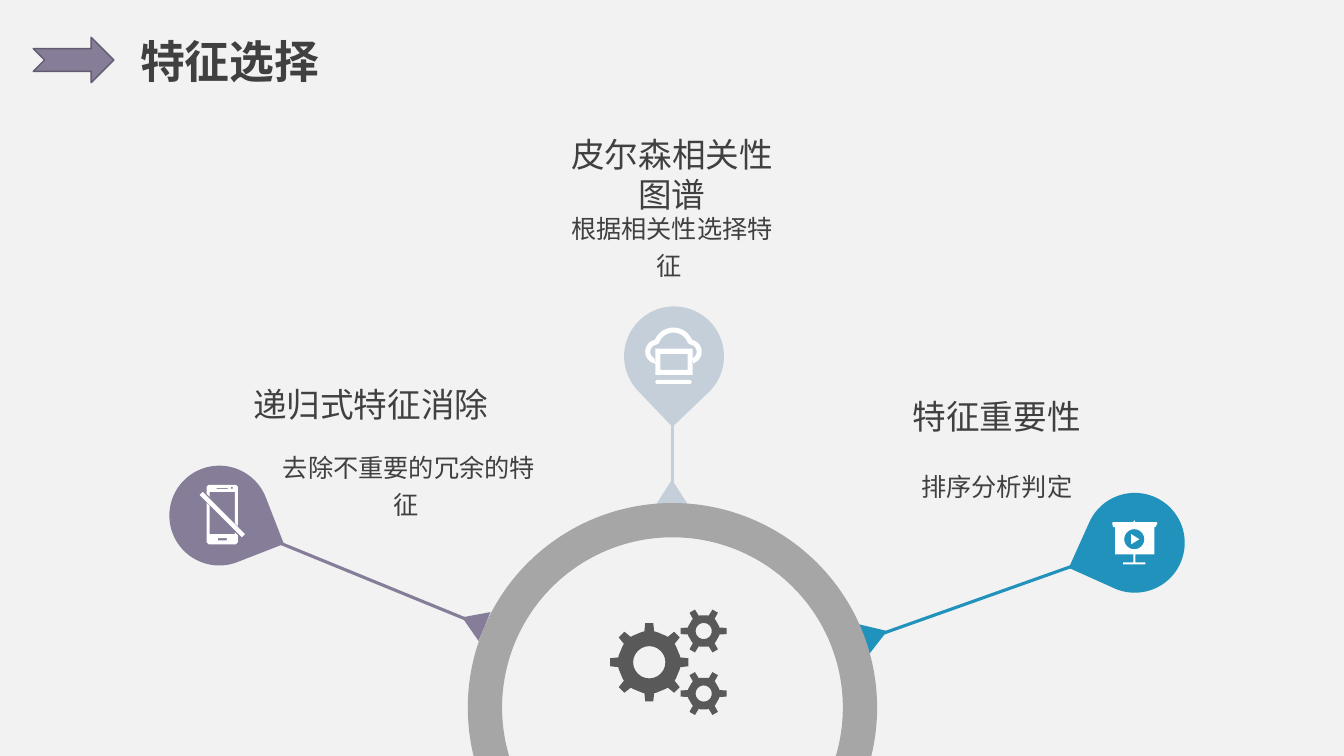
from math import asin, cos, degrees, pi, radians, sin

from lxml import etree
from pptx import Presentation
from pptx.dml.color import RGBColor
from pptx.enum.shapes import MSO_CONNECTOR, MSO_SHAPE
from pptx.enum.text import MSO_ANCHOR, MSO_AUTO_SIZE, PP_ALIGN
from pptx.oxml.ns import qn
from pptx.util import Inches, Pt

COLOURS = {
    "background": "F2F2F2", "text": "404040", "white": "FFFFFF",
    "purple": "867D98", "purple_line": "635C70", "pale": "C4CFD9",
    "blue": "2192BC", "ring": "A6A6A6", "gear": "595959",
}


def arc(x, y, radius, start, end, steps=24):
    """Points along an arc; degrees run clockwise from the right."""
    angles = [radians(start + (end - start) * i / steps) for i in range(steps + 1)]
    return [(x + radius * cos(a), y + radius * sin(a)) for a in angles]


def box(left, top, right, bottom):
    return [(left, top), (right, top), (right, bottom), (left, bottom)]


def gear(x, y, teeth, tip, root, hole):
    """Outline of a gear followed by its hole."""
    pitch = 2 * pi / teeth
    profile = [(-0.29, root), (-0.2, root), (-0.13, tip), (0.13, tip), (0.2, root), (0.29, root)]
    outline = [(x + radius * cos((i + part) * pitch), y + radius * sin((i + part) * pitch))
               for i in range(teeth) for part, radius in profile]
    return [outline, arc(x, y, hole, 0, 360)]


class SlideBuilder:
    font = "Arial"

    def __init__(self, presentation):
        self.slide = presentation.slides.add_slide(presentation.slide_layouts[5])
        fill = self.slide.background.fill
        fill.solid()
        fill.fore_color.rgb = self.colour("background")

    def colour(self, name):
        return RGBColor.from_string(COLOURS[name])

    def paint(self, shape, fill, line=None):
        shape.shadow.inherit = False
        shape.fill.solid()
        shape.fill.fore_color.rgb = self.colour(fill)
        if line:
            shape.line.color.rgb = self.colour(line)
            shape.line.width = Pt(1)
        else:
            shape.line.fill.background()

    def shape(self, kind, place, fill, rotation=0, line=None):
        shape = self.slide.shapes.add_shape(kind, *map(Inches, place))
        shape.rotation = rotation
        self.paint(shape, fill, line)

    def line(self, start, end, colour):
        connector = self.slide.shapes.add_connector(
            MSO_CONNECTOR.STRAIGHT, *map(Inches, start + end))
        connector.line.color.rgb = self.colour(colour)
        connector.line.width = Pt(2.25)
        etree.SubElement(connector._element.spPr, qn("a:effectLst"))

    def outline(self, contours, fill):
        contours = [[(Inches(x), Inches(y)) for x, y in points] for points in contours]
        builder = self.slide.shapes.build_freeform(*contours[0][0])
        for index, points in enumerate(contours):
            if index:
                builder.move_to(*points[0])
            builder.add_line_segments(points[1:], close=True)
        self.paint(builder.convert_to_shape(), fill)

    def fill_text(self, shape, text, size, align, anchor, bold=False, spacing=1.0):
        frame = shape.text_frame
        frame.text = text
        frame.vertical_anchor = anchor
        paragraph = frame.paragraphs[0]
        paragraph.alignment = align
        paragraph.line_spacing = spacing
        font = paragraph.runs[0].font
        font.name, font.size, font.bold = self.font, Pt(size), bold
        font.color.rgb = self.colour("text")

    def title(self, text, place):
        shape = self.slide.shapes.title
        shape.left, shape.top, shape.width, shape.height = map(Inches, place)
        shape.text_frame.word_wrap = True
        shape.text_frame.auto_size = MSO_AUTO_SIZE.SHAPE_TO_FIT_TEXT
        self.fill_text(shape, text, 32, PP_ALIGN.LEFT, MSO_ANCHOR.TOP, bold=True)

    def text(self, text, place, size, inset, anchor=MSO_ANCHOR.MIDDLE,
             align=PP_ALIGN.CENTER, wrap=False, spacing=1.0):
        shape = self.slide.shapes.add_textbox(*map(Inches, place))
        frame = shape.text_frame
        frame.word_wrap = wrap
        frame.margin_left = frame.margin_right = Inches(inset)
        frame.margin_top = frame.margin_bottom = 0
        self.fill_text(shape, text, size, align, anchor, spacing=spacing)

    def heading(self, text, place, **options):
        self.text(text, place, 24, **options)

    def description(self, text, place, inset):
        self.text(text, place, 18, inset, wrap=True, spacing=1.2)

    def branch(self, colour, pin, pin_turn, start, end, pointer, pointer_turn):
        self.shape(MSO_SHAPE.TEAR, pin + (0.99, 0.99), colour, pin_turn)
        self.line(start, end, colour)
        self.shape(MSO_SHAPE.ISOSCELES_TRIANGLE, pointer + (0.31, 0.24), colour, pointer_turn)

    def hub(self, x, y, outer, inner, bottom):
        """Ring cut off at the bottom edge of the slide."""
        outer_dip, inner_dip = (degrees(asin((bottom - y) / r)) for r in (outer, inner))
        self.outline([arc(x, y, outer, 180 - outer_dip, 360 + outer_dip, 120)
                      + arc(x, y, inner, 360 + inner_dip, 180 - inner_dip, 120)], "ring")


def main():
    presentation = Presentation()
    presentation.slide_width, presentation.slide_height = Inches(13.33), Inches(7.5)
    builder = SlideBuilder(presentation)

    # Title
    builder.shape(MSO_SHAPE.NOTCHED_RIGHT_ARROW, (0.33, 0.37, 0.8, 0.45), "purple",
                  line="purple_line")
    builder.title("特征选择", (1.29, 0.28, 3.97, 0.64))

    # Branches and hub
    builder.branch("blue", (10.76, 4.89), 204.2, (10.71, 5.59), (8.57, 6.35), (8.53, 6.18), 70.6)
    builder.branch("pale", (6.19, 3.04), 136.3, (6.67, 4.19), (6.67, 5), (6.51, 4.76), 0)
    builder.branch("purple", (1.68, 4.62), 68.7, (2.71, 5.36), (4.81, 6.22), (4.54, 6.05), 292.4)
    builder.hub(6.67, 7.02, 2.03, 1.69, 7.5)

    # Branch texts
    builder.description("根据相关性选择特征 ", (5.56, 2.03, 2.21, 0.78), 0)
    builder.heading("皮尔森相关性图谱", (5.56, 1.52, 2.21, 0.41), inset=0)
    builder.description("排序分析判定", (8.57, 4.43, 2.63, 0.74), 0.08)
    builder.heading("特征重要性", (8.57, 3.93, 2.63, 0.31), inset=0.08, anchor=MSO_ANCHOR.TOP)
    builder.description("去除不重要的冗余的特征 ", (2.71, 4.42, 2.69, 0.74), 0.08)
    builder.heading("递归式特征消除", (2.43, 3.81, 2.69, 0.31), inset=0.08,
                    anchor=MSO_ANCHOR.TOP, align=PP_ALIGN.LEFT)

    # Crossed-out phone: lower body, upper body, slash, button, speaker
    builder.outline([
        [(2.05, 4.99), (2.08, 5.02), (2.08, 5.3), (2.33, 5.3), (2.33, 5.28), (2.36, 5.31),
         (2.36, 5.38), (2.34, 5.4), (2.07, 5.4), (2.05, 5.38)],
        [(2.07, 4.81), (2.34, 4.81), (2.36, 4.83), (2.36, 5.22), (2.33, 5.19), (2.33, 4.88),
         (2.08, 4.88), (2.08, 4.93), (2.05, 4.9), (2.05, 4.83)],
        [(2.01, 4.88), (2.43, 5.3), (2.4, 5.33), (1.98, 4.91)],
        box(2.16, 5.34, 2.25, 5.36),
        box(2.15, 4.84, 2.26, 4.85),
        arc(2.3, 4.84, 0.01, 0, 360),
    ], "white")

    # Cloud computer: cloud, screen and base
    cloud = (arc(6.52, 3.49, 0.12, 100, 255) + arc(6.68, 3.45, 0.2, 203, 337)
             + arc(6.84, 3.49, 0.12, 285, 440) + arc(6.84, 3.49, 0.07, 425, 280)
             + arc(6.68, 3.45, 0.15, 342, 198) + arc(6.52, 3.49, 0.07, 260, 115))
    base = arc(6.52, 3.79, 0.02, 90, 270) + arc(6.84, 3.79, 0.02, 270, 450)
    builder.outline([cloud, box(6.5, 3.46, 6.87, 3.72), box(6.55, 3.51, 6.82, 3.67), base],
                    "white")

    # Projection screen: stand outline, round button and play mark
    builder.outline([
        [(11.24, 5.18), (11.25, 5.16), (11.26, 5.18), (11.47, 5.18), (11.48, 5.19),
         (11.46, 5.23), (11.45, 5.23), (11.45, 5.5), (11.26, 5.5), (11.26, 5.58),
         (11.36, 5.58), (11.36, 5.6), (11.14, 5.6), (11.14, 5.58), (11.24, 5.58),
         (11.24, 5.5), (11.06, 5.5), (11.06, 5.23), (11.04, 5.23), (11.03, 5.19), (11.04, 5.18)],
        arc(11.25, 5.35, 0.1, 0, 360),
        [(11.22, 5.3), (11.3, 5.35), (11.22, 5.4)],
    ], "white")

    # Gears
    builder.outline(gear(6.44, 6.57, 8, 0.39, 0.31, 0.16)
                    + gear(6.98, 6.26, 6, 0.23, 0.16, 0.08)
                    + gear(6.98, 6.88, 6, 0.23, 0.16, 0.08), "gear")

    presentation.save("out.pptx")


if __name__ == "__main__":
    main()
